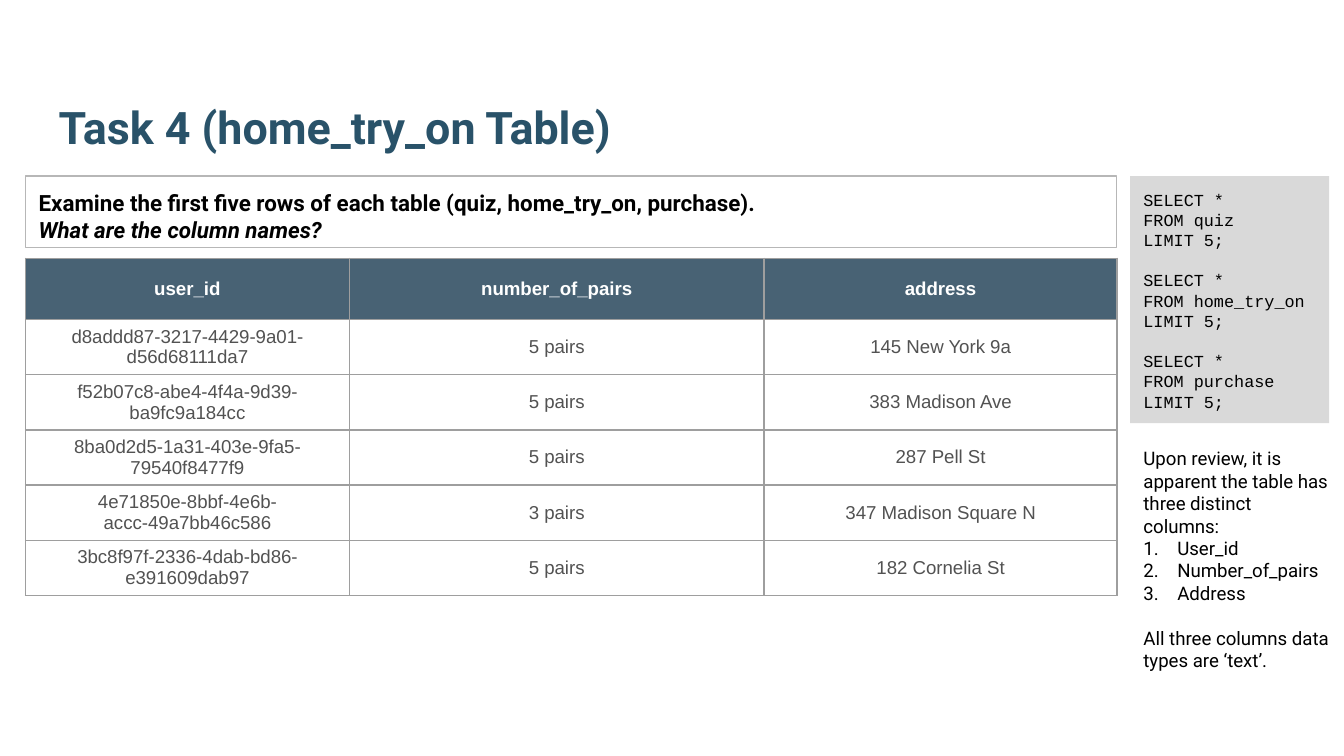
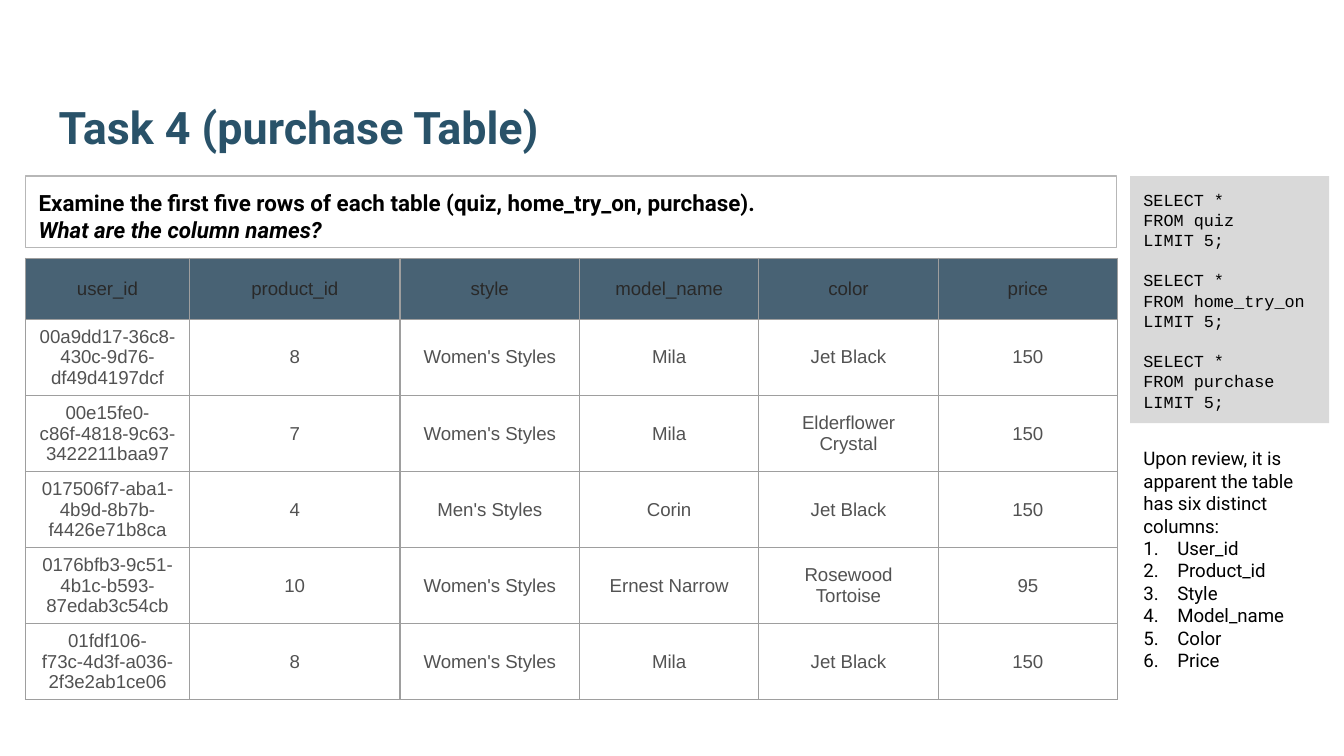
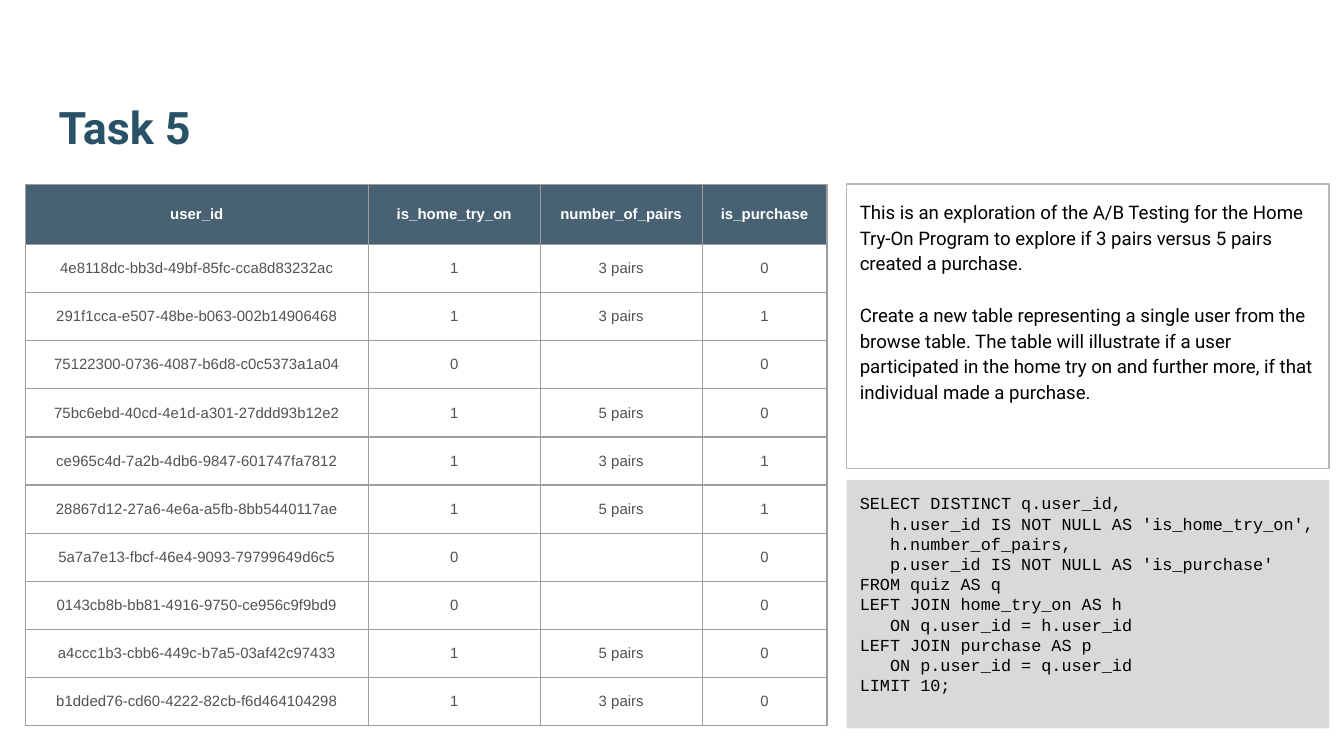
"""Build three slides that examine the home try-on tables and their SQL queries."""
from lxml import etree
from pptx import Presentation
from pptx.dml.color import RGBColor
from pptx.enum.shapes import MSO_SHAPE
from pptx.enum.text import MSO_ANCHOR, MSO_AUTO_SIZE, PP_ALIGN
from pptx.oxml.ns import qn
from pptx.util import Cm, Pt

RECTANGLE = MSO_SHAPE.RECTANGLE
TOP, MIDDLE, BOTTOM = MSO_ANCHOR.TOP, MSO_ANCHOR.MIDDLE, MSO_ANCHOR.BOTTOM
LEFT, CENTER = PP_ALIGN.LEFT, PP_ALIGN.CENTER
NO_AUTOFIT = MSO_AUTO_SIZE.NONE

TITLE_BLUE = RGBColor(0x29, 0x52, 0x69)
HEADER_BLUE = RGBColor(0x20, 0x40, 0x56)
CODE_GRAY = RGBColor(0xD9, 0xD9, 0xD9)
BOX_GRAY = RGBColor(0xB7, 0xB7, 0xB7)
GRID_GRAY = RGBColor(0x9E, 0x9E, 0x9E)
CELL_GRAY = RGBColor(0x52, 0x52, 0x52)
DARK_GRAY = RGBColor(0x29, 0x29, 0x29)
BLACK = RGBColor(0, 0, 0)
WHITE = RGBColor(0xFF, 0xFF, 0xFF)

HEADER_ALPHA = "82000"
INSET = Cm(0.25)
GRID_LEFT = Cm(0.48)
LIST_INDENT = Cm(0.64)


def write_text(shape, lines, font, size, color=BLACK, gap=0, anchor=TOP, bold=False,
               numbered=(), spacing=None):
    """Fill a shape with lines; an empty line becomes space before the next one."""
    frame = shape.text_frame
    frame.word_wrap = True
    frame.auto_size = NO_AUTOFIT
    frame.vertical_anchor = anchor
    frame.margin_left = frame.margin_right = frame.margin_top = frame.margin_bottom = INSET
    paragraph = None
    space_before = 0
    for line in lines:
        if not line:
            space_before = gap
            continue
        paragraph = frame.add_paragraph() if paragraph else frame.paragraphs[0]
        paragraph.text = line
        paragraph.alignment = LEFT
        paragraph.space_before = Pt(space_before)
        if spacing:
            paragraph.line_spacing = spacing
        properties = paragraph._p.get_or_add_pPr()
        indent = LIST_INDENT if line in numbered else 0
        properties.set("marL", str(indent))
        properties.set("indent", str(-indent))
        if line in numbered:
            etree.SubElement(properties, qn("a:buAutoNum"), type="arabicPeriod")
        else:
            etree.SubElement(properties, qn("a:buNone"))
        paragraph.font.name = font
        paragraph.font.size = Pt(size)
        paragraph.font.color.rgb = color
        paragraph.font.bold = bold
        space_before = 0


def add_grid(slide, top, widths, header_height, row_height, rows, size,
             header_color=WHITE, header_bold=True):
    """Add a bordered table whose first row is the tinted header."""
    heights = [header_height] + [row_height] * (len(rows) - 1)
    table = slide.shapes.add_table(len(rows), len(widths), GRID_LEFT, top,
                                   Cm(sum(widths)), Cm(sum(heights))).table
    table.horz_banding = False
    for column, width in zip(table.columns, widths):
        column.width = Cm(width)
    for row_index, (row, height, values) in enumerate(zip(table.rows, heights, rows)):
        row.height = Cm(height)
        is_header = row_index == 0
        for cell, value in zip(row.cells, values):
            cell.text = value
            cell.vertical_anchor = MIDDLE
            properties = cell._tc.get_or_add_tcPr()
            for side in ("a:lnL", "a:lnR", "a:lnT", "a:lnB"):
                border = etree.SubElement(properties, qn(side), w=str(Pt(0.75)))
                border_fill = etree.SubElement(border, qn("a:solidFill"))
                etree.SubElement(border_fill, qn("a:srgbClr"), val=str(GRID_GRAY))
            if is_header:
                cell.fill.solid()
                cell.fill.fore_color.rgb = HEADER_BLUE
                tint = properties.find(qn("a:solidFill")).find(qn("a:srgbClr"))
                etree.SubElement(tint, qn("a:alpha"), val=HEADER_ALPHA)
            else:
                cell.fill.background()
            paragraph = cell.text_frame.paragraphs[0]
            paragraph.alignment = CENTER
            paragraph.font.name = "Arial"
            paragraph.font.size = Pt(size)
            paragraph.font.bold = is_header and header_bold
            paragraph.font.color.rgb = header_color if is_header else CELL_GRAY


QUESTION = ["Examine the first five rows of each table (quiz, home_try_on, purchase).",
            "What are the column names?"]
SAMPLE_QUERY = ["SELECT *", "FROM quiz", "LIMIT 5;", "",
                "SELECT *", "FROM home_try_on", "LIMIT 5;", "",
                "SELECT *", "FROM purchase", "LIMIT 5;"]
FUNNEL_QUERY = ["SELECT DISTINCT q.user_id,",
                "   h.user_id IS NOT NULL AS 'is_home_try_on',",
                "   h.number_of_pairs,",
                "   p.user_id IS NOT NULL AS 'is_purchase'",
                "FROM quiz AS q",
                "LEFT JOIN home_try_on AS h",
                "   ON q.user_id = h.user_id",
                "LEFT JOIN purchase AS p",
                "   ON p.user_id = q.user_id",
                "LIMIT 10;"]
FUNNEL_NOTE = [
    "This is an exploration of the A/B Testing for the Home Try-On Program to explore "
    "if 3 pairs versus 5 pairs created a purchase.",
    "",
    "Create a new table representing a single user from the browse table. The table will "
    "illustrate if a user participated in the home try on and further more, if that "
    "individual made a purchase."]

TRY_ON_ROWS = [
    ("user_id", "number_of_pairs", "address"),
    ("d8addd87-3217-4429-9a01-d56d68111da7", "5 pairs", "145 New York 9a"),
    ("f52b07c8-abe4-4f4a-9d39-ba9fc9a184cc", "5 pairs", "383 Madison Ave"),
    ("8ba0d2d5-1a31-403e-9fa5-79540f8477f9", "5 pairs", "287 Pell St"),
    ("4e71850e-8bbf-4e6b-accc-49a7bb46c586", "3 pairs", "347 Madison Square N"),
    ("3bc8f97f-2336-4dab-bd86-e391609dab97", "5 pairs", "182 Cornelia St"),
]
PURCHASE_ROWS = [
    ("user_id", "product_id", "style", "model_name", "color", "price"),
    ("00a9dd17-36c8-430c-9d76-df49d4197dcf", "8", "Women's Styles", "Mila", "Jet Black", "150"),
    ("00e15fe0-c86f-4818-9c63-3422211baa97", "7", "Women's Styles", "Mila",
     "Elderflower Crystal", "150"),
    ("017506f7-aba1-4b9d-8b7b-f4426e71b8ca", "4", "Men's Styles", "Corin", "Jet Black", "150"),
    ("0176bfb3-9c51-4b1c-b593-87edab3c54cb", "10", "Women's Styles", "Ernest Narrow",
     "Rosewood Tortoise", "95"),
    ("01fdf106-f73c-4d3f-a036-2f3e2ab1ce06", "8", "Women's Styles", "Mila", "Jet Black", "150"),
]
FUNNEL_ROWS = [
    ("user_id", "is_home_try_on", "number_of_pairs", "is_purchase"),
    ("4e8118dc-bb3d-49bf-85fc-cca8d83232ac", "1", "3 pairs", "0"),
    ("291f1cca-e507-48be-b063-002b14906468", "1", "3 pairs", "1"),
    ("75122300-0736-4087-b6d8-c0c5373a1a04", "0", "", "0"),
    ("75bc6ebd-40cd-4e1d-a301-27ddd93b12e2", "1", "5 pairs", "0"),
    ("ce965c4d-7a2b-4db6-9847-601747fa7812", "1", "3 pairs", "1"),
    ("28867d12-27a6-4e6a-a5fb-8bb5440117ae", "1", "5 pairs", "1"),
    ("5a7a7e13-fbcf-46e4-9093-79799649d6c5", "0", "", "0"),
    ("0143cb8b-bb81-4916-9750-ce956c9f9bd9", "0", "", "0"),
    ("a4ccc1b3-cbb6-449c-b7a5-03af42c97433", "1", "5 pairs", "0"),
    ("b1dded76-cd60-4222-82cb-f6d464104298", "1", "3 pairs", "0"),
]

prs = Presentation()
prs.slide_width = Cm(25.4)
prs.slide_height = Cm(14.29)
list_layout, title_layout = prs.slide_layouts[1], prs.slide_layouts[5]

deck = [
    ("Task 4 (home_try_on Table)", list_layout, SAMPLE_QUERY, (21.36, 3.33, 3.76, 4.67),
     QUESTION, (0.48, 3.33, 20.62, 1.35)),
    ("Task 4 (purchase Table)", list_layout, SAMPLE_QUERY, (21.36, 3.33, 3.76, 4.67),
     QUESTION, (0.48, 3.33, 20.62, 1.35)),
    ("Task 5", title_layout, FUNNEL_QUERY, (16, 9.07, 9.12, 4.7),
     FUNNEL_NOTE, (16, 3.48, 9.12, 5.38)),
]
slides = []
for heading, layout, query, query_box, brief, brief_box in deck:
    slide = prs.slides.add_slide(layout)
    slides.append(slide)
    title = slide.shapes.title
    title.left, title.top, title.width, title.height = Cm(0.86), Cm(0.81), Cm(23.67), Cm(2.34)
    write_text(title, [heading], "Roboto", 24, TITLE_BLUE, anchor=BOTTOM, bold=True)

    query_panel = slide.shapes.add_shape(RECTANGLE, *map(Cm, query_box))
    query_panel.shadow.inherit = False
    query_panel.fill.solid()
    query_panel.fill.fore_color.rgb = CODE_GRAY
    query_panel.line.fill.background()
    write_text(query_panel, query, "Courier New", 9, gap=10.8)

    brief_panel = slide.shapes.add_shape(RECTANGLE, *map(Cm, brief_box))
    brief_panel.shadow.inherit = False
    brief_panel.fill.background()
    brief_panel.line.color.rgb = BOX_GRAY
    brief_panel.line.width = Pt(0.75)
    if brief is QUESTION:
        write_text(brief_panel, brief, "Roboto", 12, bold=True)
        brief_panel.text_frame.paragraphs[1].font.italic = True
    else:
        write_text(brief_panel, brief, "Roboto", 10, gap=13.8, spacing=1.15)

try_on_slide, purchase_slide, funnel_slide = slides
add_grid(try_on_slide, Cm(4.88), [6.12, 7.84, 6.67], 1.16, 0.94, TRY_ON_ROWS, 10)
add_grid(purchase_slide, Cm(4.88), [3.1, 3.98] + [3.39] * 4, 1.16, 0.94, PURCHASE_ROWS, 10,
         DARK_GRAY, False)
add_grid(funnel_slide, Cm(3.48), [6.48, 3.25, 3.06, 2.36], 1.14, 0.91, FUNNEL_ROWS, 8)

reviews = [
    (try_on_slide, "three", 4.04, TRY_ON_ROWS[0],
     ["", "All three columns data types are ‘text’."]),
    (purchase_slide, "six", 3.76, PURCHASE_ROWS[0], []),
]
for slide, count, width, columns, closing in reviews:
    column_names = [column.capitalize() for column in columns]
    intro = f"Upon review, it is apparent the table has {count} distinct columns:"
    review = slide.placeholders[1]
    review.left, review.top, review.width, review.height = Cm(21.36), Cm(8.2), Cm(width), Cm(5.44)
    write_text(review, [intro] + column_names + closing, "Roboto", 10, gap=12,
               numbered=column_names)

prs.save("out.pptx")
